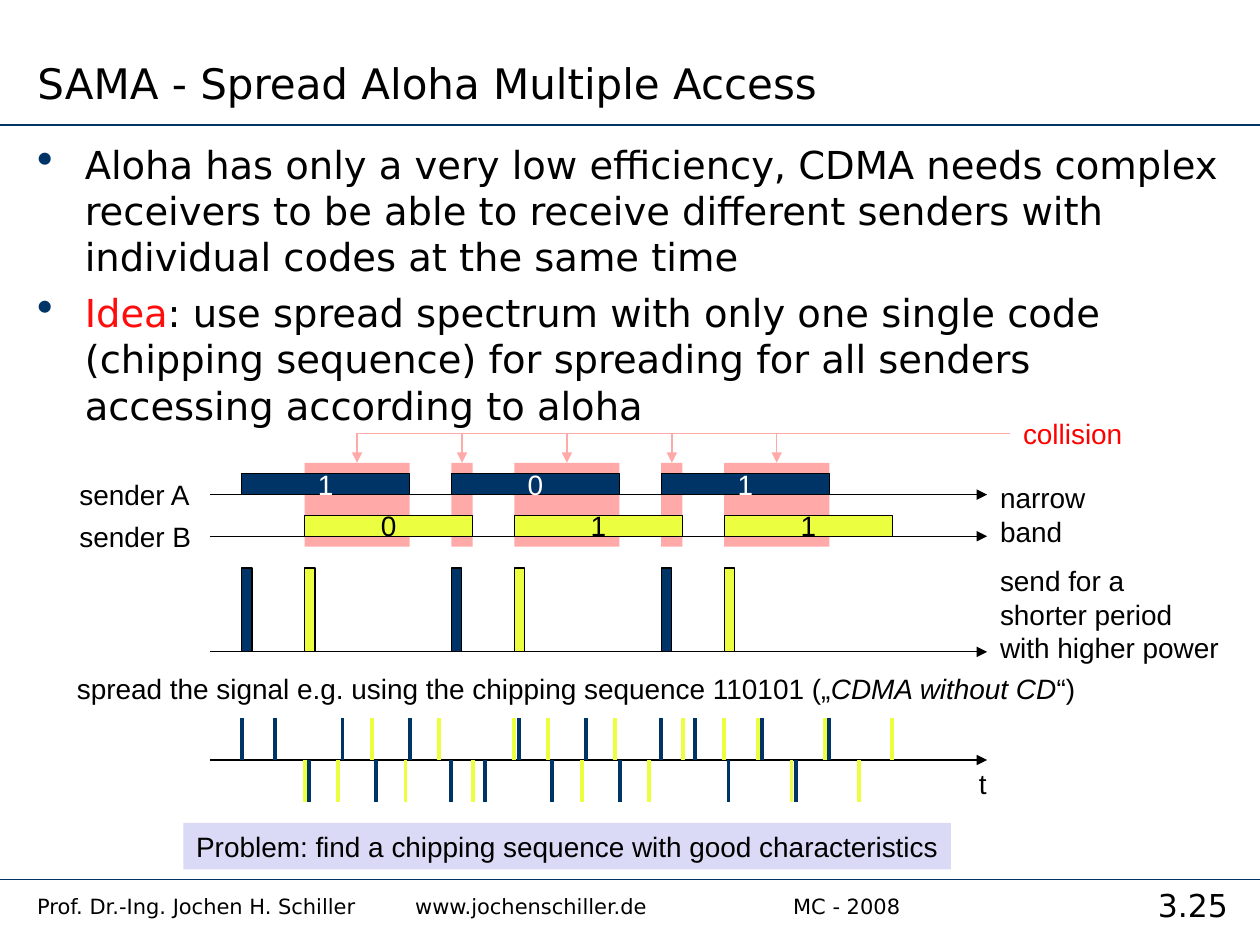
from dataclasses import dataclass

from lxml import etree
from pptx import Presentation
from pptx.dml.color import RGBColor
from pptx.enum.shapes import MSO_CONNECTOR, MSO_SHAPE
from pptx.enum.text import MSO_ANCHOR, MSO_AUTO_SIZE, PP_ALIGN
from pptx.oxml.ns import qn
from pptx.util import Cm, Pt

LEFT, CENTER = PP_ALIGN.LEFT, PP_ALIGN.CENTER
TOP, MIDDLE, BOTTOM = MSO_ANCHOR.TOP, MSO_ANCHOR.MIDDLE, MSO_ANCHOR.BOTTOM
STRAIGHT, ELBOW = MSO_CONNECTOR.STRAIGHT, MSO_CONNECTOR.ELBOW
RECT = MSO_SHAPE.RECTANGLE
NO_FIT = MSO_AUTO_SIZE.NONE


@dataclass
class Theme:
    head: str = "DejaVu Sans"
    label: str = "Arial"
    black: str = "000000"
    white: str = "FFFFFF"
    navy: str = "003366"
    lime: str = "ECFE40"
    pink: str = "FFA9A9"
    red: str = "FF0000"
    idea: str = "FF0D0D"
    lilac: str = "DADAF6"
    title: float = 24
    body: float = 22
    page: float = 18
    note: float = 16
    foot: float = 12
    thin: float = 0.75
    rule: float = 1
    chip: float = 2.25


class Deck:
    def __init__(self, theme):
        self.theme = theme
        self.prs = Presentation()
        self.prs.slide_width, self.prs.slide_height = Cm(25.4), Cm(19.05)
        self.slide = self.prs.slides.add_slide(self.prs.slide_layouts[5])

    def style(self, frame, size, face, color, align=LEFT, anchor=MIDDLE):
        frame.auto_size = NO_FIT
        frame.vertical_anchor = anchor
        for para in frame.paragraphs:
            para.alignment = align
            for run in para.runs:
                run.font.size, run.font.name = Pt(size), face
                run.font.color.rgb = RGBColor.from_string(color)

    def title(self, text, x, y, w, h):
        box = self.slide.shapes.title
        box.left, box.top, box.width, box.height = Cm(x), Cm(y), Cm(w), Cm(h)
        box.text_frame.text = text
        t = self.theme
        self.style(box.text_frame, t.title, t.head, t.black, anchor=BOTTOM)

    def text(self, text, x, y, w, h, size=None, face=None, color=None,
             align=LEFT, anchor=MIDDLE, wrap=False):
        t = self.theme
        box = self.slide.shapes.add_textbox(Cm(x), Cm(y), Cm(w), Cm(h))
        frame = box.text_frame
        frame.word_wrap = wrap
        frame.text = text
        self.style(frame, size or t.note, face or t.label, color or t.black,
                   align, anchor)
        return frame

    def tabs(self, para, stops):
        props = para._p.get_or_add_pPr()
        tabs = etree.SubElement(props, qn("a:tabLst"))
        for stop in stops:
            etree.SubElement(tabs, qn("a:tab"), pos=str(Cm(stop)), algn="l")

    def bullet(self, para):
        props = para._p.get_or_add_pPr()
        props.set("marL", str(Cm(0.96)))
        props.set("indent", str(Cm(-0.96)))
        color = etree.SubElement(props, qn("a:buClr"))
        etree.SubElement(color, qn("a:srgbClr"), val=self.theme.navy)
        etree.SubElement(props, qn("a:buSzPct"), val="120000")
        etree.SubElement(props, qn("a:buChar"), char="•")

    def rect(self, x, y, w, h, fill, text="", color=None, edge=True):
        t = self.theme
        box = self.slide.shapes.add_shape(RECT, Cm(x), Cm(y), Cm(w), Cm(h))
        box.shadow.inherit = False
        box.fill.solid()
        box.fill.fore_color.rgb = RGBColor.from_string(fill)
        if edge:
            box.line.color.rgb = RGBColor.from_string(t.black)
            box.line.width = Pt(t.thin)
        else:
            box.line.fill.background()
        if text:
            frame = box.text_frame
            frame.word_wrap = False
            frame.text = text
            self.style(frame, t.note, t.label, color or t.black, CENTER)

    def line(self, x1, y1, x2, y2, color, width, arrow=False, bent=False):
        kind = ELBOW if bent else STRAIGHT
        line = self.slide.shapes.add_connector(
            kind, Cm(x1), Cm(y1), Cm(x2), Cm(y2))
        line.line.color.rgb = RGBColor.from_string(color)
        line.line.width = Pt(width)
        props = line._element.spPr
        if bent:
            props.find(qn("a:prstGeom")).set("prst", "bentConnector2")
        if arrow:
            etree.SubElement(props.find(qn("a:ln")), qn("a:tailEnd"),
                             type="triangle")
        etree.SubElement(props, qn("a:effectLst"))


def main():
    t = Theme()
    deck = Deck(t)

    # Rules, title and footer
    for y in (2.52, 17.73):
        deck.line(0, y, 25.4, y, t.navy, t.rule)
    deck.title("SAMA - Spread Aloha Multiple Access", 0.5, 0, 16.8, 2.3)
    deck.text("3.25", 22.7, 17.73, 2.7, 1.12, t.page, t.head,
              align=CENTER, anchor=TOP)
    foot = deck.text(
        "Prof. Dr.-Ing. Jochen H. Schiller\twww.jochenschiller.de\t\tMC - 2008",
        0.5, 17.88, 22.2, 0.84, t.foot, t.head, anchor=TOP, wrap=True)
    deck.tabs(foot.paragraphs[0], (7.62, 12.7, 15.24))

    # Bullets
    body = deck.text(
        "Aloha has only a very low efficiency, CDMA needs complex receivers "
        "to be able to receive different senders with individual codes at "
        "the same time\nIdea",
        0.5, 2.72, 24.4, 14.86, t.body, t.head, anchor=TOP, wrap=True)
    idea = body.paragraphs[1]
    idea.add_run().text = (
        ": use spread spectrum with only one single code (chipping sequence) "
        "for spreading for all senders accessing according to aloha")
    deck.style(body, t.body, t.head, t.black, anchor=TOP)
    idea.runs[0].font.color.rgb = RGBColor.from_string(t.idea)
    idea.space_before = Pt(5.5)
    for para in body.paragraphs:
        deck.bullet(para)

    # Timing: bit length, period and sender starts
    bit, step = 3.39, 4.23
    start_a, start_b = 4.87, 6.14
    senders = (
        ("sender A", start_a, "101", 9.55, 9.97, t.navy, t.white),
        ("sender B", start_b, "011", 10.39, 10.81, t.lime, t.black),
    )
    axis_x, axis_end = 4.23, 19.9

    # Collisions: each overlap of a bit of A with a bit of B
    clashes = []
    for i in range(3):
        a, b = start_a + i * step, start_b + i * step
        clashes.append((b, a + bit - b))
        if i < 2:
            clashes.append((a + step, b + bit - a - step))
    for x, w in clashes:
        deck.rect(x, 9.33, w, 1.69, t.pink, edge=False)

    # Narrow band bits
    for name, start, bits, top, axis, fill, ink in senders:
        deck.line(axis_x, axis, axis_end, axis, t.black, t.thin, arrow=True)
        deck.text(name, 1.35, axis - 0.47, 2.77, 0.94)
        for i, value in enumerate(bits):
            deck.rect(start + i * step, top, bit, 0.42, fill, value, ink)

    # Short pulses with higher power
    deck.line(axis_x, 13.14, axis_end, 13.14, t.black, t.thin, arrow=True)
    for _, start, bits, _, _, fill, _ in senders:
        for i in range(len(bits)):
            deck.rect(start + i * step, 11.45, 0.21, 1.69, fill)

    # Chips: a one sends the code, a zero sends its inverse
    code, mid, rise = "110101", 15.32, 0.85
    deck.line(axis_x, mid, axis_end, mid, t.black, t.thin, arrow=True)
    for _, start, bits, _, _, color, _ in senders:
        for i, value in enumerate(bits):
            for j, chip in enumerate(code):
                x = start + i * step + j * bit / 5
                end = mid - rise if chip == value else mid + rise
                deck.line(x, mid, x, end, color, t.chip)

    # Labels
    deck.text("narrow\vband", 19.91, 9.55, 2.24, 1.63)
    deck.text("send for a\nshorter period\nwith higher power",
              19.91, 11.23, 4.93, 2.29)
    deck.text("t", 19.48, 15.32, 0.66, 0.94, align=CENTER)
    spread = deck.text(
        "spread the signal e.g. using the chipping sequence 110101 („",
        1.3, 13.41, 20.7, 0.94)
    for part in ("CDMA without CD", "“)"):
        spread.paragraphs[0].add_run().text = part
    deck.style(spread, t.note, t.label, t.black)
    spread.paragraphs[0].runs[1].font.italic = True
    deck.rect(3.7, 16.59, 15.47, 0.94, t.lilac,
              "Problem: find a chipping sequence with good characteristics",
              edge=False)

    # Collision pointers
    deck.text("collision", 20.37, 8.26, 2.51, 0.94, color=t.red, align=CENTER)
    for x, w in clashes:
        deck.line(20.37, 8.74, x + w / 2, 9.33, t.pink, t.thin,
                  arrow=True, bent=True)

    deck.prs.save("out.pptx")


if __name__ == "__main__":
    main()
